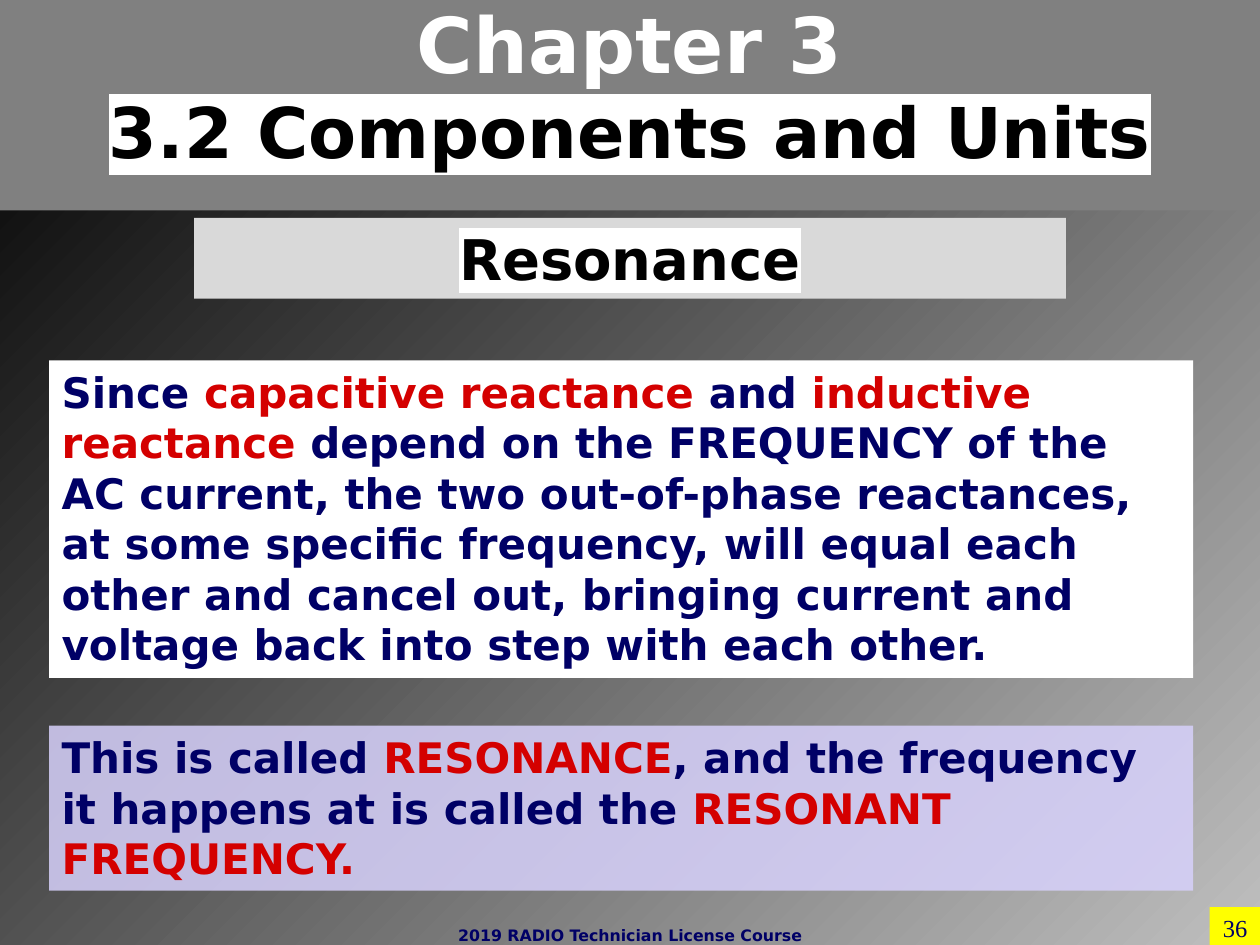
from lxml import etree
from pptx import Presentation
from pptx.dml.color import RGBColor
from pptx.enum.shapes import MSO_SHAPE as Shape
from pptx.enum.text import MSO_ANCHOR as Anchor, PP_ALIGN as Align
from pptx.oxml import parse_xml
from pptx.oxml.ns import nsdecls, qn
from pptx.util import Inches, Pt

COLORS = {
    "light": "BFBFBF", "dark": "000000", "banner": "808080", "topic": "D9D9D9",
    "white": "FFFFFF", "black": "000000", "yellow": "FFFF00", "lilac": "D7D1FB",
    "navy": "000066", "red": "D40000",
}
SANS = "DejaVu Sans"
SERIF = "Times New Roman"


def rgb(name):
    return RGBColor.from_string(COLORS[name])


def set_background(page):
    """Radial gradient, light in the bottom right corner."""
    background = parse_xml(
        f'<p:bg {nsdecls("p", "a")}><p:bgPr><a:gradFill rotWithShape="1"><a:gsLst>'
        f'<a:gs pos="0"><a:srgbClr val="{COLORS["light"]}"/></a:gs>'
        f'<a:gs pos="100000"><a:srgbClr val="{COLORS["dark"]}"/></a:gs>'
        '</a:gsLst><a:path path="circle"><a:fillToRect l="100000" t="100000"/></a:path>'
        '</a:gradFill><a:effectLst/></p:bgPr></p:bg>'
    )
    page._element.cSld.insert(0, background)


def add_panel(page, place, color, opacity=100):
    panel = page.shapes.add_shape(Shape.RECTANGLE, *map(Inches, place))
    panel.shadow.inherit = False
    panel.line.fill.background()
    panel.fill.solid()
    panel.fill.fore_color.rgb = rgb(color)
    if opacity < 100:
        swatch = panel.fill._xPr.find(qn("a:solidFill"))[0]
        etree.SubElement(swatch, qn("a:alpha"), val=str(opacity * 1000))
    return panel


def highlight(span, color):
    mark = parse_xml(
        f'<a:highlight {nsdecls("a")}><a:srgbClr val="{COLORS[color]}"/></a:highlight>'
    )
    span.font._element.find(qn("a:solidFill")).addnext(mark)


def write(box, spans, align=Align.LEFT, marked=False, **formats):
    """Add (text, colour) spans to the last paragraph of the box."""
    frame = box.text_frame
    frame.word_wrap = True
    frame.vertical_anchor = Anchor.TOP
    para = frame.paragraphs[-1]
    para.alignment = align
    for text, color in spans:
        span = para.add_run()
        span.text = text
        for name, value in {"name": SANS, "bold": True, **formats}.items():
            setattr(span.font, name, value)
        span.font.color.rgb = rgb(color)
        if marked:
            highlight(span, "white")
    return para


def main():
    deck = Presentation()
    deck.slide_width, deck.slide_height = Inches(10), Inches(7.5)
    page = deck.slides.add_slide(deck.slide_layouts[6])
    set_background(page)

    title = add_panel(page, (0, -0.08, 10, 1.75), "banner")
    write(title, [("Chapter 3", "white")], Align.CENTER, size=Pt(44)).add_line_break()
    write(title, [("3.2 Components and Units", "black")], Align.CENTER,
          marked=True, size=Pt(40))

    topic = add_panel(page, (1.54, 1.73, 6.92, 0.64), "topic")
    write(topic, [("Resonance", "black")], Align.CENTER, marked=True, size=Pt(32))

    number = add_panel(page, (9.6, 7.2, 0.4, 0.3), "yellow")
    write(number, [("36", "navy")], Align.RIGHT, name=SERIF, bold=False, size=Pt(14))

    cause = add_panel(page, (0.39, 2.86, 9.08, 2.52), "white")
    write(cause, [
        ("Since ", "navy"),
        ("capacitive reactance ", "red"),
        ("and ", "navy"),
        ("inductive reactance", "red"),
        (" depend on the FREQUENCY of the AC current, the two out-of-phase "
         "reactances, at some specific frequency, will equal each other and cancel "
         "out, bringing current and voltage back into step with each other.", "navy"),
    ], size=Pt(24))

    result = add_panel(page, (0.39, 5.76, 9.08, 1.31), "lilac", opacity=85)
    write(result, [
        ("This is called ", "navy"),
        ("RESONANCE", "red"),
        (", and the frequency it happens at is called the ", "navy"),
        ("RESONANT FREQUENCY.", "red"),
    ], size=Pt(24))

    footer = page.shapes.add_textbox(*map(Inches, (3.5, 7.3, 3, 0.2)))
    write(footer, [("2019 RADIO Technician License Course", "navy")],
          Align.CENTER, size=Pt(9))

    deck.save("out.pptx")


if __name__ == "__main__":
    main()
